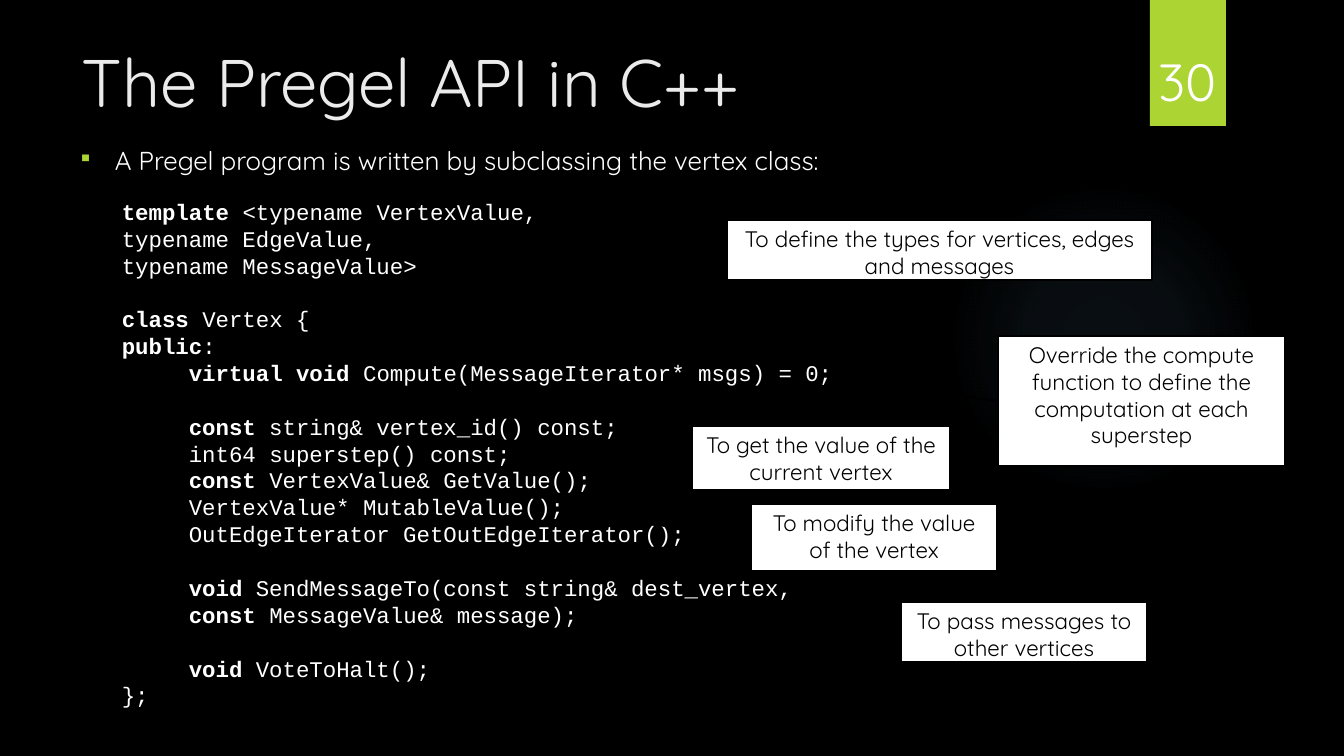
from lxml.etree import SubElement
from pptx import Presentation
from pptx.dml.color import RGBColor
from pptx.enum.shapes import MSO_SHAPE
from pptx.enum.text import MSO_ANCHOR, PP_ALIGN
from pptx.oxml import parse_xml
from pptx.oxml.ns import nsdecls, qn
from pptx.util import Emu, Pt

COLORS = {
    "background": "000000",
    "glow": "7AC4F0",
    "accent": "ACD433",
    "title": "EBEBEB",
    "white": "FFFFFF",
    "black": "000000",
}
FONT, CODE_FONT = "Quicksand", "Courier New"
LINE_PITCH = Pt(19.2)
CODE_INDENT = 67

# Code in groups set apart by a gap: (bold start, rest, indented)
CODE_GROUPS = [
    [("template", " <typename VertexValue,", False),
     ("", "typename EdgeValue,", False),
     ("", "typename MessageValue>", False)],
    [("class", " Vertex {", False),
     ("public", ":", False),
     ("virtual void", " Compute(MessageIterator* msgs) = 0;", True)],
    [("const", " string& vertex_id() const;", True),
     ("", "int64 superstep() const;", True),
     ("const ", "VertexValue& GetValue();", True),
     ("", "VertexValue* MutableValue();", True),
     ("", "OutEdgeIterator GetOutEdgeIterator();", True)],
    [("void ", "SendMessageTo(const string& dest_vertex,", True),
     ("const ", "MessageValue& message);", True)],
    [("void ", "VoteToHalt();", True),
     ("", "};", False)],
]

# Callouts: box, pointer (y1, x1, y2, x2 as shares of the box), text
CALLOUTS = [
    ((998, 336, 287, 130), (0.5, 0, 0.34, -0.56),
     "Override the compute function to define the computation at each superstep"),
    ((901, 602, 246, 60), (0.48, -0.01, -0.06, -0.41),
     "To pass messages to other vertices"),
    ((727, 220, 425, 60), (0.49, 0, 0.4, -0.46),
     "To define the types for vertices, edges and messages"),
    ((692, 426, 258, 64), (0.53, 0, 0.86, -0.41),
     "To get the value of the current vertex"),
    ((751, 504, 246, 67), (0.5, 0, 0.13, -0.75),
     "To modify the value of the vertex"),
]


def px(n):
    return Emu(round(n * 914400 / 100.8))


def rgb(name):
    return RGBColor.from_string(COLORS[name])


def style_run(r, size, color, font=FONT, bold=False):
    r.font.size = Pt(size)
    r.font.name = font
    r.font.bold = bold
    r.font.color.rgb = rgb(color)


def add_shape(s, kind, box, fill):
    sp = s.shapes.add_shape(kind, *map(px, box))
    sp.shadow.inherit = False
    sp.fill.solid()
    sp.fill.fore_color.rgb = rgb(fill)
    sp.line.fill.background()
    return sp


def add_text(s, box, text, size, color, align=PP_ALIGN.LEFT, anchor=MSO_ANCHOR.TOP):
    tf = s.shapes.add_textbox(*map(px, box)).text_frame
    tf.word_wrap = True
    tf.vertical_anchor = anchor
    tf.text = text
    p = tf.paragraphs[0]
    p.alignment = align
    style_run(p.runs[0], size, color)
    return p


def add_bullet(p, indent):
    pPr = p._p.get_or_add_pPr()
    pPr.set("marL", str(px(indent)))
    pPr.set("indent", str(-px(indent)))
    color = SubElement(pPr, qn("a:buClr"))
    SubElement(color, qn("a:srgbClr"), val=COLORS["accent"])
    SubElement(pPr, qn("a:buSzPct"), val="80000")
    SubElement(pPr, qn("a:buChar"), char="▪")


def add_glow(s, box):
    sp = add_shape(s, MSO_SHAPE.OVAL, box, "glow")
    stops = "".join(
        f'<a:gs pos="{pos}000"><a:srgbClr val="{COLORS["glow"]}">'
        f'<a:alpha val="{alpha}000"/></a:srgbClr></a:gs>'
        for pos, alpha in [(0, 7), (36, 6), (69, 0)])
    gradient = parse_xml(
        f'<a:gradFill {nsdecls("a")}><a:gsLst>{stops}</a:gsLst><a:path path="circle">'
        '<a:fillToRect l="50000" t="50000" r="50000" b="50000"/></a:path></a:gradFill>')
    spPr = sp._element.spPr
    spPr.replace(spPr.find(qn("a:solidFill")), gradient)


def add_code(s, box, groups):
    tf = s.shapes.add_textbox(*map(px, box)).text_frame
    tf.word_wrap = True
    p = tf.paragraphs[0]
    for g, group in enumerate(groups):
        for i, (keyword, rest, indented) in enumerate(group):
            if g or i:
                p = tf.add_paragraph()
            p.line_spacing = LINE_PITCH
            if g and i == 0:
                p.space_before = LINE_PITCH
            if indented:
                p._p.get_or_add_pPr().set("marL", str(px(CODE_INDENT)))
            for text, bold in ((keyword, True), (rest, False)):
                if text:
                    r = p.add_run()
                    r.text = text
                    style_run(r, 16, "white", CODE_FONT, bold)


def add_callout(s, box, pointer, text):
    sp = add_shape(s, MSO_SHAPE.LINE_CALLOUT_1, box, "white")
    sp.line.color.rgb = rgb("black")
    sp.line.width = Pt(1.5)
    for i, share in enumerate(pointer):
        sp.adjustments[i] = share
    tf = sp.text_frame
    tf.word_wrap = True
    tf.vertical_anchor = MSO_ANCHOR.TOP
    tf.text = text
    p = tf.paragraphs[0]
    p.alignment = PP_ALIGN.CENTER
    p.line_spacing = LINE_PITCH
    style_run(p.runs[0], 16, "black")


def main():
    prs = Presentation()
    prs.slide_width, prs.slide_height = px(1344), px(756)
    s = prs.slides.add_slide(prs.slide_layouts[6])

    # Backdrop
    s.background.fill.solid()
    s.background.fill.fore_color.rgb = rgb("background")
    add_glow(s, (949, 184, 310, 310))
    add_shape(s, MSO_SHAPE.RECTANGLE, (1150, 0, 76, 126), "accent")

    # Title and lead sentence
    add_text(s, (72, 35, 1037, 154), "The Pregel API in C++", 48, "title")
    lead = add_text(s, (68, 140, 814, 50),
                    "A Pregel program is written by subclassing the vertex class:",
                    18.5, "white", PP_ALIGN.JUSTIFY)
    add_bullet(lead, 37)

    # Code and its callouts
    add_code(s, (112, 193, 863, 526), CODE_GROUPS)
    for box, pointer, text in CALLOUTS:
        add_callout(s, box, pointer, text)

    # Slide number
    add_text(s, (1141, 32, 93, 85), "30", 37.3, "white",
             PP_ALIGN.CENTER, MSO_ANCHOR.BOTTOM)

    prs.save("out.pptx")


if __name__ == "__main__":
    main()
